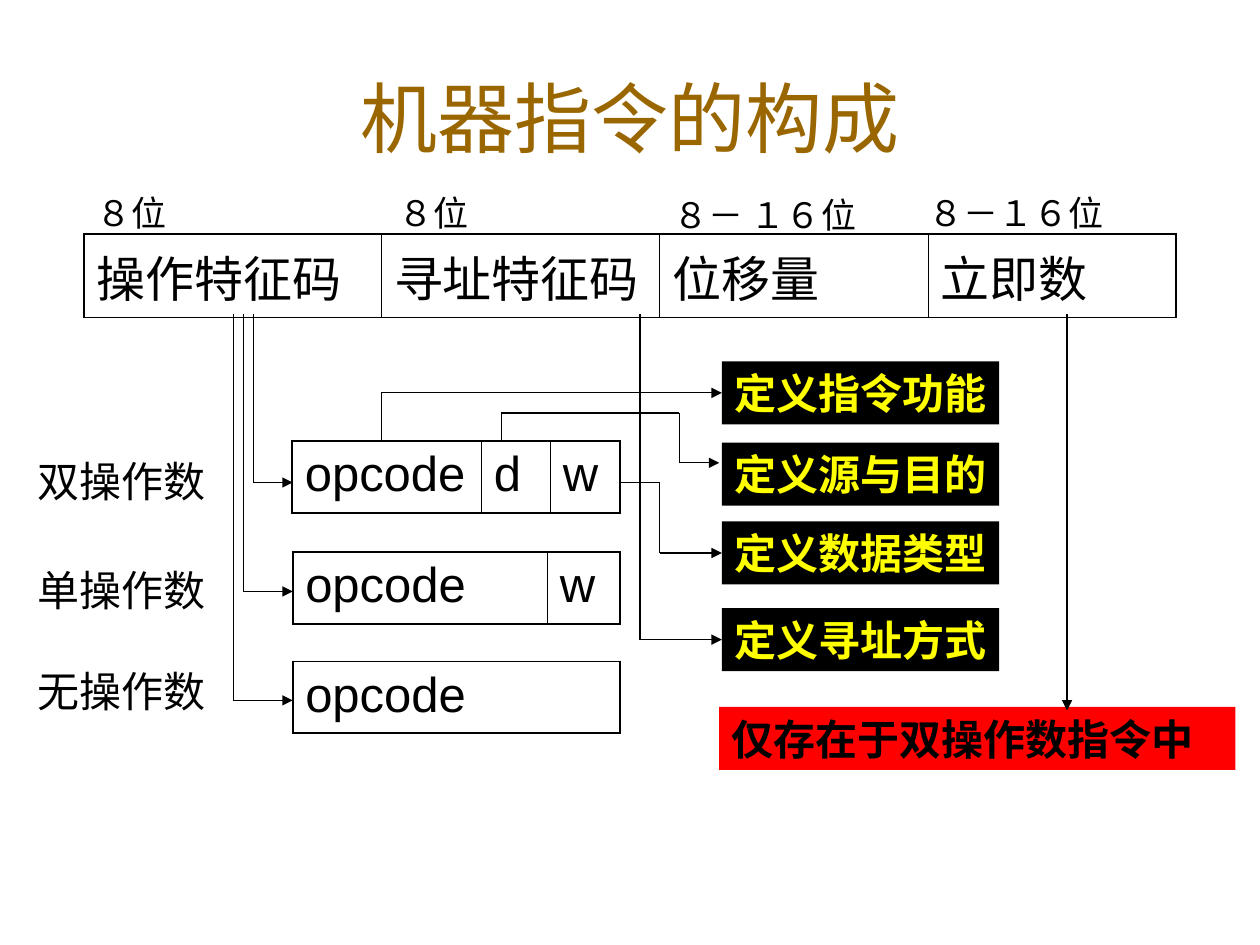
from lxml import etree
from pptx import Presentation
from pptx.dml.color import RGBColor
from pptx.enum.shapes import MSO_CONNECTOR, MSO_SHAPE
from pptx.enum.text import MSO_ANCHOR, MSO_AUTO_SIZE, PP_ALIGN
from pptx.oxml.ns import qn
from pptx.util import Pt

STRAIGHT = MSO_CONNECTOR.STRAIGHT
RECT = MSO_SHAPE.RECTANGLE
MIDDLE, TOP = MSO_ANCHOR.MIDDLE, MSO_ANCHOR.TOP
LEFT, CENTER = PP_ALIGN.LEFT, PP_ALIGN.CENTER
FIT = MSO_AUTO_SIZE.SHAPE_TO_FIT_TEXT
BLACK = RGBColor(0, 0, 0)
YELLOW = RGBColor(255, 255, 0)
RED = RGBColor(255, 0, 0)
BROWN = RGBColor(0x99, 0x66, 0)
FONT = "Arial"
OUTER, INNER = 1.08, 0.45

TITLE = "机器指令的构成"
TABLES = [
    (167, 252, 41, [("opcode", 108), ("d", 39.5), ("w", 40)]),
    (167.25, 315.5, 41, [("opcode", 145.5), ("w", 41.5)]),
    (167.25, 378, 41, [("opcode", 187)]),
    (48, 133.75, 47.5, [("操作特征码", 170), ("寻址特征码", 159),
                        ("位移量", 153.5), ("立即数", 141.5)]),
]
OPERANDS = [("双操作数", 256.5), ("单操作数", 319), ("无操作数", 376.5)]
WIDTHS = [("８位", 48, 106, 56), ("８位", 220.5, 106, 56),
          ("８－ １６位", 377.5, 106.75, 120), ("８－１６位", 523.5, 106, 116)]
MEANINGS = [("定义指令功能", 206.5), ("定义源与目的", 253),
            ("定义数据类型", 298), ("定义寻址方式", 347.5)]
NOTE = "仅存在于双操作数指令中"
BOX_X, BOX_W, BOX_H = 412.5, 158.5, 36
FIELD_BOTTOM = 179.5
FORMAT_X = 167.25
FORMAT_DROPS = [(144.75, 275.75), (139, 338), (133.25, 400.25)]
MEANING_PATHS = [
    ([(218, 252.5), (218, 224.5), (BOX_X, 224.5)], 0),
    ([(286.5, 252.5), (286.5, 236), (388.25, 236), (388.25, 264.5), (411, 264.5)], None),
    ([(354.5, 275.75), (377, 275.75), (377, 316), (BOX_X, 316)], 2),
    ([(365.75, FIELD_BOTTOM), (365.75, 365.5), (BOX_X, 365.5)], 3),
]
NOTE_PATH = [(609.75, FIELD_BOTTOM), (609.75, 406)]


def write(tf, text, size, color=BLACK, bold=False, align=LEFT, anchor=TOP):
    tf.text = text
    tf.vertical_anchor = anchor
    p = tf.paragraphs[0]
    p.alignment = align
    font = p.runs[0].font
    font.name, font.size, font.bold = FONT, Pt(size), bold
    font.color.rgb = color
    return p


def add_label(s, text, x, y, w, h, size):
    tf = s.shapes.add_textbox(Pt(x), Pt(y), Pt(w), Pt(h)).text_frame
    write(tf, text, size)
    tf.word_wrap, tf.auto_size = False, FIT


def add_box(s, text, x, y, w, fill, color, wrap):
    sp = s.shapes.add_shape(RECT, Pt(x), Pt(y), Pt(w), Pt(BOX_H))
    sp.shadow.inherit = False
    sp.fill.solid()
    sp.fill.fore_color.rgb = fill
    sp.line.fill.background()
    write(sp.text_frame, text, 24, color, True)
    sp.text_frame.word_wrap, sp.text_frame.auto_size = wrap, FIT
    return sp


def add_border(cell, side, width):
    ln = etree.SubElement(cell._tc.get_or_add_tcPr(), qn(f"a:ln{side}"), w=str(Pt(width)))
    fill = etree.SubElement(ln, qn("a:solidFill"))
    etree.SubElement(fill, qn("a:srgbClr"), val=str(BLACK))


def add_fields(s, x, y, h, fields):
    total = sum(w for _, w in fields)
    table = s.shapes.add_table(1, len(fields), Pt(x), Pt(y), Pt(total), Pt(h)).table
    table.first_row = table.horz_banding = False
    last = len(fields) - 1
    for i, (text, w) in enumerate(fields):
        table.columns[i].width = Pt(w)
        cell = table.cell(0, i)
        write(cell.text_frame, text, 28).space_before = Pt(7)
        add_border(cell, "L", OUTER if i == 0 else INNER)
        add_border(cell, "R", OUTER if i == last else INNER)
        add_border(cell, "T", OUTER)
        add_border(cell, "B", OUTER)
        cell.fill.background()


def add_path(s, points, target=None):
    for (x1, y1), (x2, y2) in zip(points, points[1:]):
        c = s.shapes.add_connector(STRAIGHT, Pt(x1), Pt(y1), Pt(x2), Pt(y2))
        c.line.color.rgb, c.line.width = BLACK, Pt(0.75)
        etree.SubElement(c._element.spPr, qn("a:effectLst"))
    etree.SubElement(c.line._get_or_add_ln(), qn("a:tailEnd"), type="triangle")
    if target is not None:
        c.end_connect(target, 1)


def main():
    """Build the slide on the layout of machine instructions."""
    prs = Presentation()
    prs.slide_width, prs.slide_height = Pt(720), Pt(540)
    s = prs.slides.add_slide(prs.slide_layouts[5])
    title = s.shapes.title
    title.left, title.top, title.width, title.height = Pt(36), Pt(21.6), Pt(648), Pt(90)
    write(title.text_frame, TITLE, 44, BROWN, align=CENTER, anchor=MIDDLE)

    for table in TABLES:
        add_fields(s, *table)
    for text, y in OPERANDS:
        add_label(s, text, 14.4, y, 112, BOX_H, 24)
    for text, x, y, w in WIDTHS:
        add_label(s, text, x, y, w, 31.5, 20)
    boxes = [add_box(s, text, BOX_X, y, BOX_W, BLACK, YELLOW, False) for text, y in MEANINGS]
    add_box(s, NOTE, 411, 404, 295, RED, BLACK, True)

    for x, y in FORMAT_DROPS:
        add_path(s, [(x, FIELD_BOTTOM), (x, y), (FORMAT_X, y)])
    for points, i in MEANING_PATHS:
        add_path(s, points, None if i is None else boxes[i])
    add_path(s, NOTE_PATH)
    prs.save("out.pptx")


if __name__ == "__main__":
    main()
